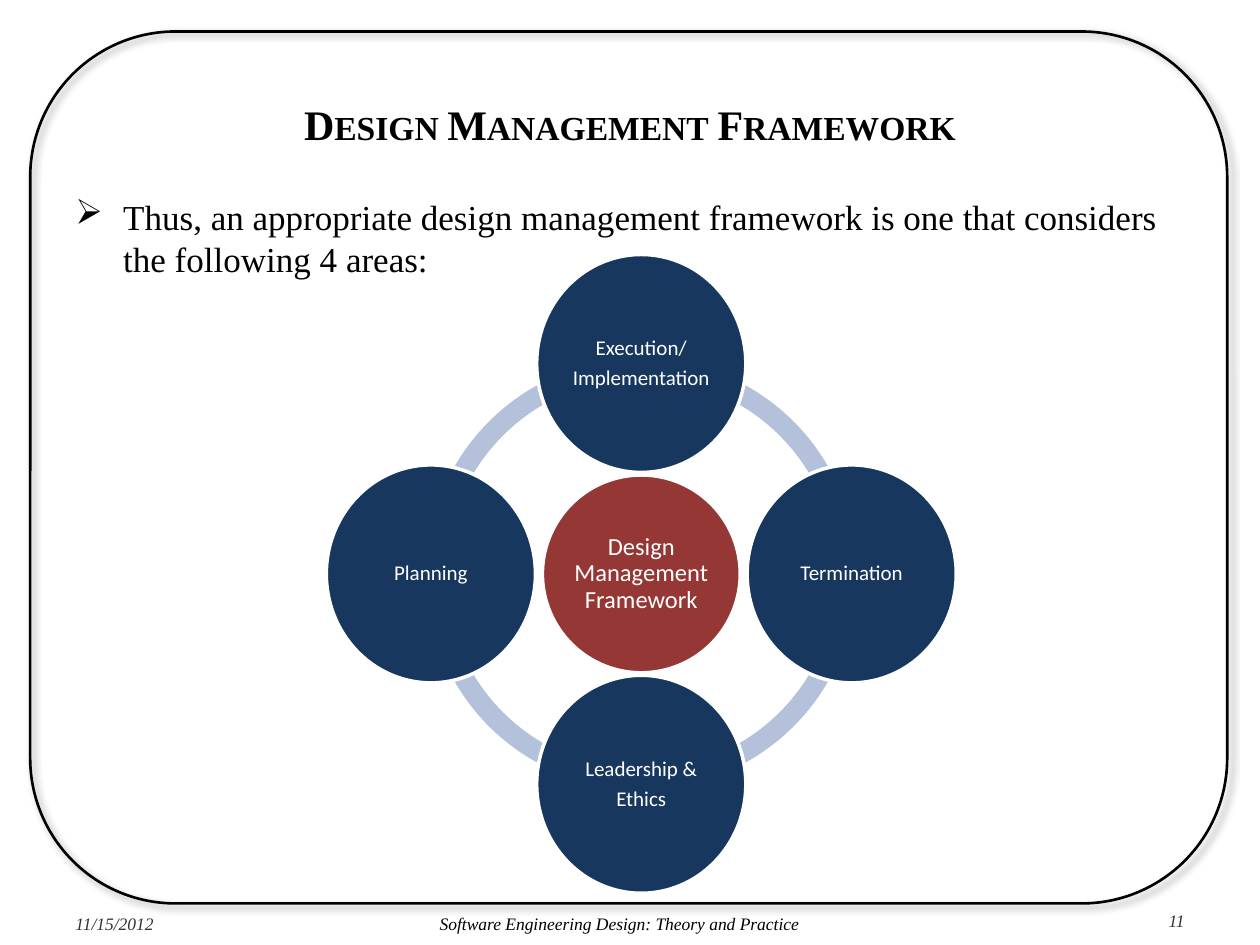
import math

import lxml.etree
import pptx
import pptx.dml.color
import pptx.enum.shapes
import pptx.enum.text
import pptx.oxml.ns
import pptx.util

SHAPES = pptx.enum.shapes.MSO_SHAPE
ALIGN = pptx.enum.text.PP_ALIGN
ANCHOR = pptx.enum.text.MSO_ANCHOR
SERIF, SANS = "Times New Roman", "Calibri"
BLACK, GREY, WHITE = "000000", "333333", "FFFFFF"
NAVY, RED, PALE_BLUE = "17375E", "953735", "B3C1DB"
CELL = 0.25  # inches; the slide is a grid of 40 columns by 30 rows
COLUMNS, ROWS = 40, 30


def grid(cells):
    return pptx.util.Inches(cells * CELL)


def color(value):
    return pptx.dml.color.RGBColor.from_string(value)


def add_element(parent, tag, **attributes):
    element = lxml.etree.SubElement(parent, pptx.oxml.ns.qn(tag))
    for name, value in attributes.items():
        element.set(name, str(value))
    return element


def centered_box(x, y, width, height):
    return x - width / 2, y - height / 2, width, height


def add_shape(slide, kind, box, fill=None, line=None, line_width=2):
    shape = slide.shapes.add_shape(kind, *map(grid, box))
    shape.shadow.inherit = False
    if fill:
        shape.fill.solid()
        shape.fill.fore_color.rgb = color(fill)
    else:
        shape.fill.background()
    if line:
        shape.line.color.rgb = color(line)
        shape.line.width = pptx.util.Pt(line_width)
    else:
        shape.line.fill.background()
    return shape


def write(text_frame, text, size, font=SERIF, ink=BLACK, align=ALIGN.LEFT,
          anchor=ANCHOR.TOP, bold=False, italic=False):
    text_frame.word_wrap = True
    text_frame.vertical_anchor = anchor
    text_frame.text = text
    for paragraph in text_frame.paragraphs:
        paragraph.alignment = align
        for run in paragraph.runs:
            run.font.size = pptx.util.Pt(size)
            run.font.name = font
            run.font.color.rgb = color(ink)
            run.font.bold = bold
            run.font.italic = italic


def add_text(slide, box, text, size, **style):
    text_frame = slide.shapes.add_textbox(*map(grid, box)).text_frame
    write(text_frame, text, size, **style)
    return text_frame.paragraphs[0]


def add_frame(slide, box):
    frame = add_shape(slide, SHAPES.ROUNDED_RECTANGLE, box, line=BLACK, line_width=1.5)
    effects = frame._element.spPr.find(pptx.oxml.ns.qn("a:effectLst"))
    shadow = add_element(effects, "a:outerShdw", blurRad=pptx.util.Pt(4),
                         dist=pptx.util.Pt(3), dir=45 * 60000,
                         algn="tl", rotWithShape=0)
    shade = add_element(shadow, "a:srgbClr", val=BLACK)
    add_element(shade, "a:alpha", val=40000)


def add_title(slide, box, text):
    paragraph = add_text(slide, box, text, 24, align=ALIGN.CENTER,
                         anchor=ANCHOR.MIDDLE, bold=True)
    paragraph.runs[0].font._element.set("cap", "small")


def add_body(slide, box, text):
    paragraph = add_text(slide, box, text, 20)
    properties = paragraph._p.get_or_add_pPr()
    indent = pptx.util.Inches(0.38)
    properties.set("marL", str(indent))
    properties.set("indent", str(-indent))
    add_element(properties, "a:buChar", char="➢")


def add_disc(slide, box, text, size, fill):
    disc = add_shape(slide, SHAPES.OVAL, box, fill, WHITE)
    text_frame = disc.text_frame
    text_frame.margin_left = text_frame.margin_right = 0
    text_frame.margin_top = text_frame.margin_bottom = 0
    write(text_frame, text, size, SANS, WHITE, ALIGN.CENTER, ANCHOR.MIDDLE)
    for paragraph in text_frame.paragraphs:
        paragraph.line_spacing = 0.9
        paragraph.space_after = pptx.util.Pt(0.35 * size)


def add_cycle(slide, box, hub, areas):
    """Hub in the middle, areas clockwise from the top on a ring of arcs."""
    left, top, width, height = box
    x, y = left + width / 2, top + height / 2
    area_width, area_height = 6.64, 6.92
    orbit_x, orbit_y = (width - area_width) / 2, (height - area_height) / 2
    step = 360 / len(areas)

    for index in range(len(areas)):
        arc = add_shape(slide, SHAPES.BLOCK_ARC, centered_box(x, y, 13.68, 13.68), PALE_BLUE)
        start, end = index * step, (index + 1) * step % 360
        # Angles count in 60000ths of a degree, adjustments in 100000ths
        arc.adjustments[0] = start * 0.6
        arc.adjustments[1] = end * 0.6
        arc.adjustments[2] = 0.046

    add_disc(slide, centered_box(x, y, 6.28, 6.28), hub, 14, RED)
    for index, area in enumerate(areas):
        angle = math.radians(index * step - 90)
        area_x = x + orbit_x * math.cos(angle)
        area_y = y + orbit_y * math.sin(angle)
        add_disc(slide, centered_box(area_x, area_y, area_width, area_height), area, 12, NAVY)


def add_footer(slide, box, date, book, number):
    left, top, width, height = box
    date_width, number_width = 0.12 * width, 5
    book_width = width - date_width - number_width
    add_text(slide, (left, top, date_width, height), date, 10, ink=GREY, italic=True)
    add_text(slide, (left + date_width, top, book_width, height), book, 10,
             align=ALIGN.CENTER, italic=True)
    raised = 0.12
    add_text(slide, (left + width - number_width, top - raised, number_width, height + raised),
             number, 10, ink=GREY, align=ALIGN.RIGHT, italic=True)


def main():
    presentation = pptx.Presentation()
    presentation.slide_width = grid(COLUMNS)
    presentation.slide_height = grid(ROWS)
    slide = presentation.slides.add_slide(presentation.slide_layouts[6])

    add_frame(slide, (0.96, 1, 38, 27.68))
    add_title(slide, (2, 2.2, 36, 3.48), "Design Management Framework")
    add_body(slide, (2, 6, 36, 21),
             "Thus, an appropriate design management framework is one that "
             "considers the following 4 areas:")
    add_footer(slide, (2, 28.8, 36, 1.2), "11/15/2012",
               "Software Engineering Design: Theory and Practice", "11")
    add_cycle(slide, (10.36, 8.08, 20, 20.28), "Design Management Framework",
              ["Execution/\nImplementation", "Termination",
               "Leadership &\nEthics", "Planning"])
    presentation.save("out.pptx")


if __name__ == "__main__":
    main()
